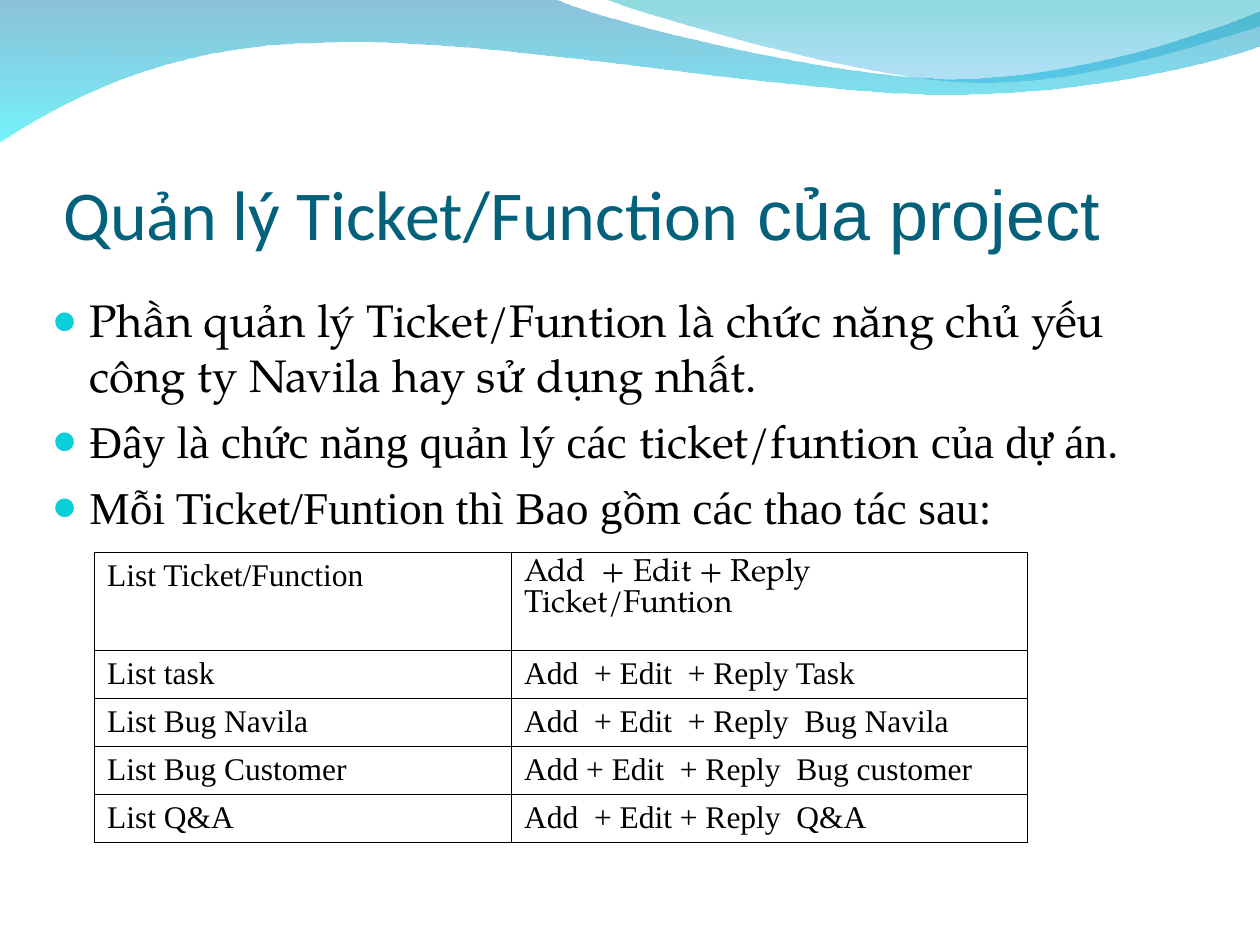
from lxml import etree
from pptx import Presentation, util as u
from pptx.dml.color import RGBColor
from pptx.enum import text
from pptx.oxml import ns

COLORS = {
    "title": "04617B", "text": "000000", "bullet": "0BD0D9", "border": "000000",
    "deep": "0079AF", "cyan": "00EBF8", "teal": "00ADB6", "sky": "009BE5",
}
SANS, ARIAL, SERIF, TIMES = "Calibri", "Arial", "TeX Gyre Pagella", "Times New Roman"

BACK_WAVE = [
    [(0, -0.7)], [(317, -0.7)],
    [(343, 12), (478, 45), (546, 45)],
    [(614, 45), (690, 19), (720, 6.5)],
    [(721, 26)],
    [(708, 32), (626, 55), (537, 54)],
    [(448, 54), (275, 20), (185, 24.5)],
    [(93, 25), (33, 60), (-0.7, 81.4)],
]
FRONT_WAVE = [
    [(345, -0.7)],
    [(366.5, 8), (491, 44.6), (554, 46.8)],
    [(616, 49.7), (692, 23), (720, 15)],
    [(720, 0)],
]
ITEMS = [
    [("Phần quản lý Ticket/Funtion là chức năng chủ yếu công ty Navila hay sử dụng nhất.", SERIF)],
    [("Đây là chức năng quản lý các", TIMES), (" ticket/funtion", SERIF),
     (" của dự án", TIMES), (".", SERIF)],
    [("Mỗi Ticket/Funtion thì Bao gồm các thao tác sau:", TIMES)],
]
ROWS = [
    ("List Ticket/Function", "Add  + Edit + Reply Ticket/Funtion"),
    ("List task", "Add  + Edit  + Reply Task"),
    ("List Bug Navila", "Add  + Edit  + Reply  Bug Navila"),
    ("List Bug Customer", "Add + Edit  + Reply  Bug customer"),
    ("List Q&A", "Add  + Edit + Reply  Q&A"),
]


class SlideBuilder:
    def __init__(self, slide):
        self.slide = slide

    def color(self, name):
        return RGBColor.from_string(COLORS[name])

    def place(self, shape, left, top, width, height):
        shape.left, shape.top = u.Pt(left), u.Pt(top)
        shape.width, shape.height = u.Pt(width), u.Pt(height)

    def style(self, run, size, font, color):
        run.font.size, run.font.name = u.Pt(size), font
        run.font.color.rgb = self.color(color)

    def runs(self, paragraph, pieces, size, color):
        for words, font in pieces:
            run = paragraph.add_run()
            run.text = words
            self.style(run, size, font, color)

    def bend(self, shape, segments):
        lines = iter(list(shape._element.iter(ns.qn("a:lnTo"))))
        for segment in segments:
            group = [next(lines) for _ in segment]
            if len(group) == 3:
                curve = etree.Element(ns.qn("a:cubicBezTo"))
                group[0].addprevious(curve)
                for line in group:
                    curve.append(line[0])
                    line.getparent().remove(line)

    def wave(self, outline, stops):
        points = [(u.Pt(x), u.Pt(y)) for segment in outline for x, y in segment]
        builder = self.slide.shapes.build_freeform(*points[0])
        builder.add_line_segments(points[1:], close=True)
        shape = builder.convert_to_shape()
        self.bend(shape, outline[1:])
        shape.shadow.inherit = False
        shape.line.fill.background()
        shape.fill.gradient()
        shape.fill.gradient_angle = 270
        for stop, (name, _) in zip(shape.fill.gradient_stops, stops):
            stop.color.rgb = self.color(name)
        for element, (_, opacity) in zip(shape._element.iter(ns.qn("a:srgbClr")), stops):
            etree.SubElement(element, ns.qn("a:alpha"), val=str(opacity * 1000))
        self.slide.shapes.title._element.addprevious(shape._element)

    def title(self, pieces, box):
        shape = self.slide.shapes.title
        self.place(shape, *box)
        frame = shape.text_frame
        frame.auto_size = text.MSO_AUTO_SIZE.NONE
        frame.vertical_anchor = text.MSO_ANCHOR.BOTTOM
        frame.margin_left = frame.margin_right = frame.margin_bottom = 0
        frame.margin_top = u.Pt(3.6)
        paragraph = frame.paragraphs[0]
        paragraph.alignment = text.PP_ALIGN.LEFT
        self.runs(paragraph, pieces, 40, "title")

    def bullets(self, items, box):
        shape = self.slide.placeholders[1]
        self.place(shape, *box)
        frame = shape.text_frame
        frame.auto_size = text.MSO_AUTO_SIZE.NONE
        for index, pieces in enumerate(items):
            paragraph = frame.add_paragraph() if index else frame.paragraphs[0]
            properties = paragraph._p.get_or_add_pPr()
            properties.set("marL", str(u.Pt(21.6)))
            properties.set("indent", str(u.Pt(-21.6)))
            bullet_color = etree.SubElement(properties, ns.qn("a:buClr"))
            etree.SubElement(bullet_color, ns.qn("a:srgbClr"), val=COLORS["bullet"])
            etree.SubElement(properties, ns.qn("a:buSzPct"), val="95000")
            etree.SubElement(properties, ns.qn("a:buChar"), char="●")
            paragraph.space_before = u.Pt(6.5 if index else 0)
            self.runs(paragraph, pieces, 26, "text")

    def borders(self, cell):
        properties = cell._tc.get_or_add_tcPr()
        for position, side in enumerate(("a:lnL", "a:lnR", "a:lnT", "a:lnB")):
            line = etree.Element(ns.qn(side), w=str(u.Pt(0.45)))
            fill = etree.SubElement(line, ns.qn("a:solidFill"))
            etree.SubElement(fill, ns.qn("a:srgbClr"), val=COLORS["border"])
            properties.insert(position, line)

    def table(self, rows, left, top, widths, heights):
        table = self.slide.shapes.add_table(
            len(rows), len(widths), u.Pt(left), u.Pt(top),
            u.Pt(sum(widths)), u.Pt(sum(heights))).table
        table.first_row = table.horz_banding = False
        for column, width in zip(table.columns, widths):
            column.width = u.Pt(width)
        for row, height, values in zip(table.rows, heights, rows):
            row.height = u.Pt(height)
            for cell, value in zip(row.cells, values):
                cell.text = value
                cell.fill.background()
                self.borders(cell)
                self.style(cell.text_frame.paragraphs[0].runs[0], 18, TIMES, "text")
        return table


def main():
    presentation = Presentation()
    presentation.slide_width, presentation.slide_height = u.Pt(720), u.Pt(540)
    builder = SlideBuilder(presentation.slides.add_slide(presentation.slide_layouts[1]))
    builder.wave(BACK_WAVE, [("deep", 45), ("cyan", 55)])
    builder.wave(FRONT_WAVE, [("teal", 45), ("sky", 30)])
    builder.title([("Quản lý Ticket/Function", SANS), (" của project", ARIAL)],
                  (36, 55.4, 648, 90))
    builder.bullets(ITEMS, (22.3, 163.4, 672.5, 376.6))
    table = builder.table(ROWS, 54, 315.4, [238.3, 295], [56.2] + [27.4] * 4)
    ticket_actions = table.cell(0, 1).text_frame.paragraphs[0]
    ticket_actions.runs[0].font.name = SERIF
    presentation.save("out.pptx")


if __name__ == "__main__":
    main()
